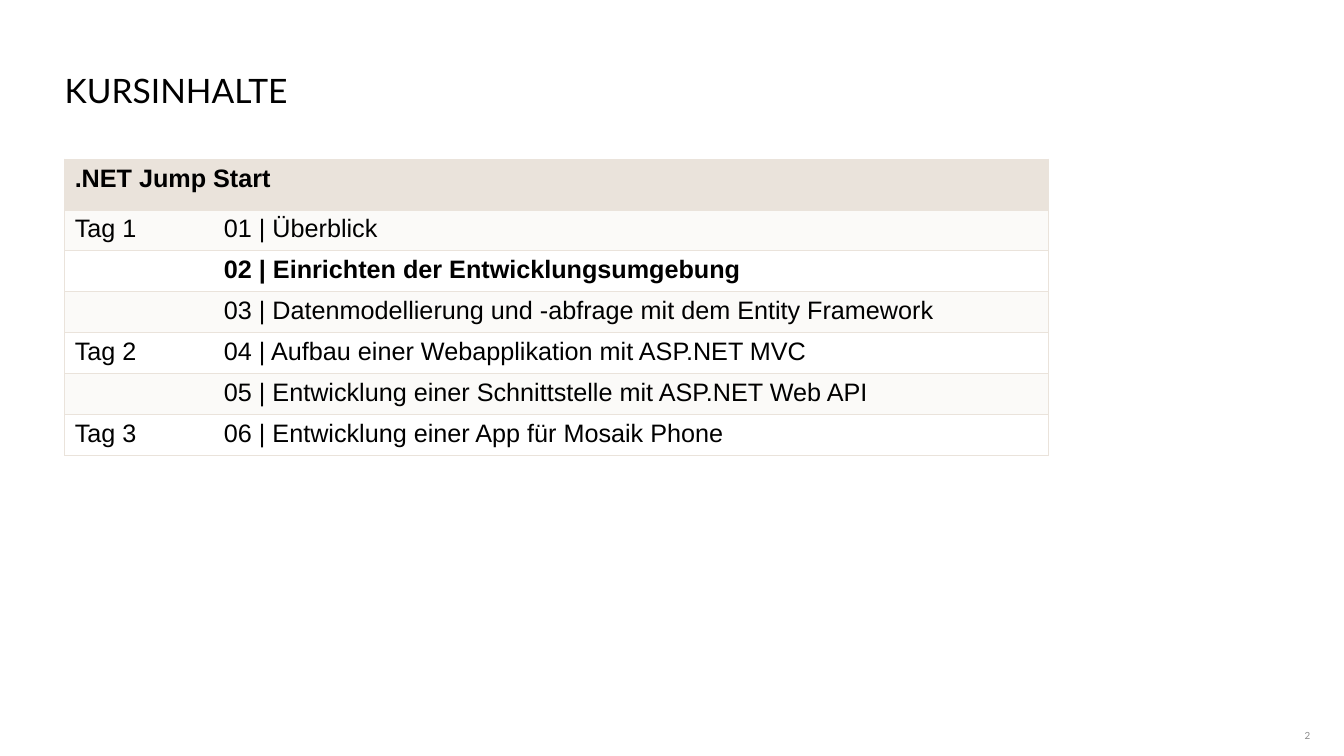
from dataclasses import dataclass

from lxml import etree
from pptx import Presentation
from pptx import util as u
from pptx.dml import color
from pptx.enum import text
from pptx.oxml import ns

BORDER = "EAE3DB"
BAND_FILLS = ("FBFAF8", "FFFFFF")
SIDES = ("L", "R", "T", "B")


@dataclass
class Box:
    left: float
    top: float
    width: float
    height: float

    def lengths(self) -> tuple:
        return tuple(u.Cm(n) for n in (self.left, self.top, self.width, self.height))


@dataclass
class Lesson:
    day: str
    topic: str
    bold: bool = False


LESSONS = [
    Lesson("Tag 1", "01 | Überblick"),
    Lesson("", "02 | Einrichten der Entwicklungsumgebung", bold=True),
    Lesson("", "03 | Datenmodellierung und -abfrage mit dem Entity Framework"),
    Lesson("Tag 2", "04 | Aufbau einer Webapplikation mit ASP.NET MVC"),
    Lesson("", "05 | Entwicklung einer Schnittstelle mit ASP.NET Web API"),
    Lesson("Tag 3", "06 | Entwicklung einer App für Mosaik Phone"),
]


def rgb(value: str) -> color.RGBColor:
    return color.RGBColor.from_string(value)


def style_font(font, name: str, size: float, value: str, bold: bool = False) -> None:
    font.name = name
    font.size = u.Pt(size)
    font.bold = bold
    font.color.rgb = rgb(value)


def set_borders(cell, visible: str) -> None:
    properties = cell._tc.get_or_add_tcPr()
    for index, side in enumerate(SIDES):
        line = etree.Element(ns.qn(f"a:ln{side}"), w=str(u.Pt(1)))
        properties.insert(index, line)
        if side in visible:
            fill = etree.SubElement(line, ns.qn("a:solidFill"))
            etree.SubElement(fill, ns.qn("a:srgbClr"), val=BORDER)
        else:
            etree.SubElement(line, ns.qn("a:noFill"))


def fill_cell(cell, wording: str, fill: str, borders: str, bold: bool = False) -> None:
    cell.text = wording
    style_font(cell.text_frame.paragraphs[0].font, "Arial", 18, "000000", bold)
    cell.fill.solid()
    cell.fill.fore_color.rgb = rgb(fill)
    set_borders(cell, borders)


def format_text(shape, wording: str, margins: tuple, anchor) -> object:
    frame = shape.text_frame
    frame.text = wording
    frame.word_wrap = True
    frame.auto_size = text.MSO_AUTO_SIZE.NONE
    frame.vertical_anchor = anchor
    frame.margin_left, frame.margin_top, frame.margin_right, frame.margin_bottom = (
        u.Cm(margin) for margin in margins
    )
    return frame.paragraphs[0]


def add_title(slide, box: Box) -> None:
    title = slide.shapes.title
    title.left, title.top, title.width, title.height = box.lengths()
    paragraph = format_text(
        title, "KURSINHALTE", (0, 0.13, 0.25, 0.13), text.MSO_ANCHOR.BOTTOM
    )
    paragraph.alignment = text.PP_ALIGN.LEFT
    paragraph.line_spacing = 0.9
    style_font(paragraph.font, "Lato", 24, "000000")


def add_page_number(slide, box: Box) -> None:
    number = slide.shapes.add_textbox(*box.lengths())
    paragraph = format_text(number, "2", (0, 0, 0, 0), text.MSO_ANCHOR.MIDDLE)
    paragraph.alignment = text.PP_ALIGN.RIGHT
    style_font(paragraph.font, "Lato", 7, "8C8C8C")


def add_course_table(slide, box: Box) -> None:
    table = slide.shapes.add_table(len(LESSONS) + 1, 2, *box.lengths()).table
    for column, width in zip(table.columns, (3.76, 21.03)):
        column.width = u.Cm(width)
    for index, row in enumerate(table.rows):
        row.height = u.Cm(1.03 if index else 1.28)

    header = table.cell(0, 0)
    header.merge(table.cell(0, 1))
    fill_cell(header, ".NET Jump Start", BORDER, "LRTB", bold=True)
    set_borders(table.cell(0, 1), "LRTB")
    for index, lesson in enumerate(LESSONS):
        fill = BAND_FILLS[index % 2]
        fill_cell(table.cell(index + 1, 0), lesson.day, fill, "LTB")
        fill_cell(table.cell(index + 1, 1), lesson.topic, fill, "RTB", lesson.bold)


def main() -> None:
    presentation = Presentation()
    presentation.slide_width = u.Cm(33.87)
    presentation.slide_height = u.Cm(19.05)
    slide = presentation.slides.add_slide(presentation.slide_layouts[5])
    add_title(slide, Box(1.63, 0.64, 30.61, 2.29))
    add_page_number(slide, Box(32.23, 18.34, 0.79, 0.41))
    add_course_table(slide, Box(1.63, 4.01, 24.79, 7.46))
    presentation.save("out.pptx")


if __name__ == "__main__":
    main()
